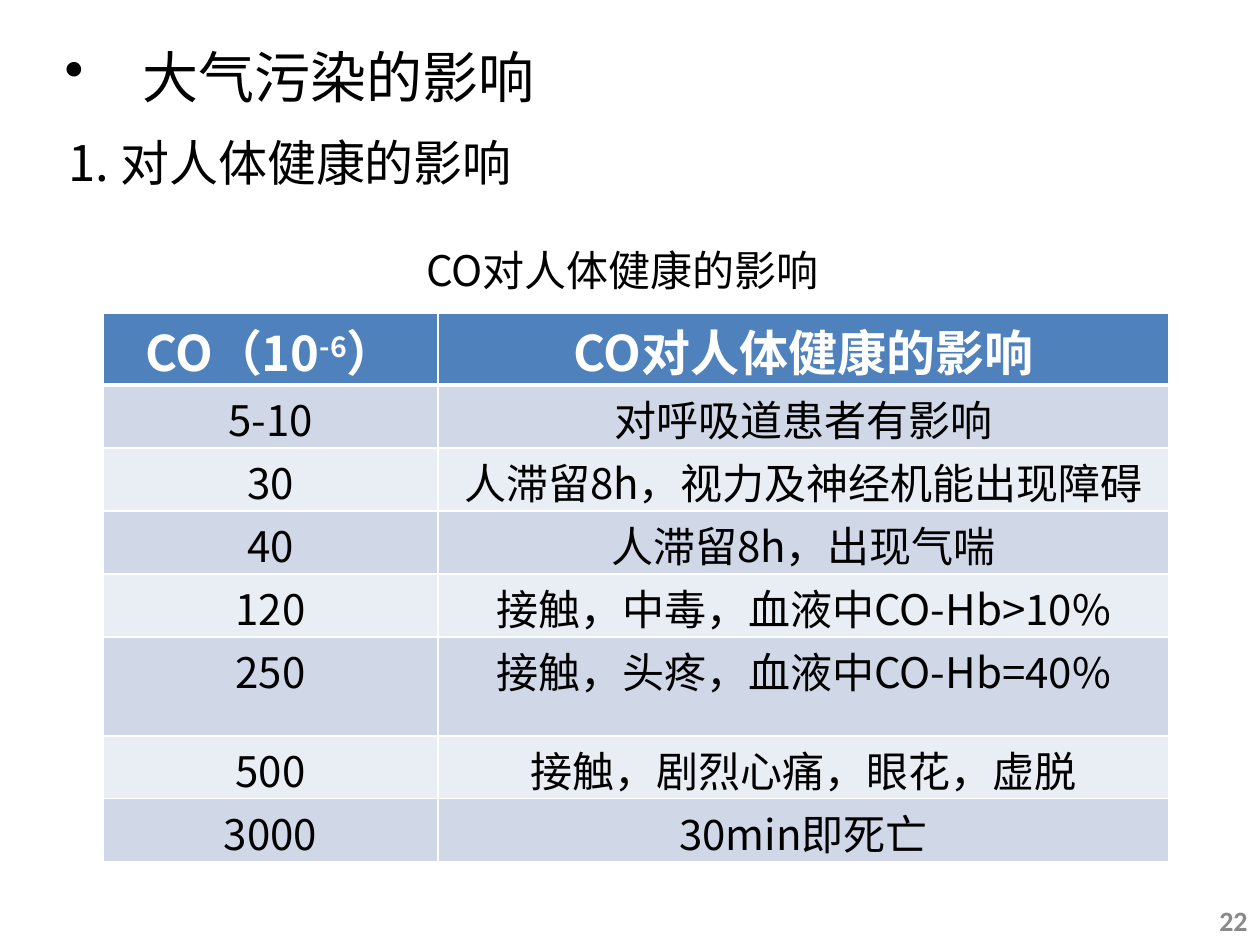
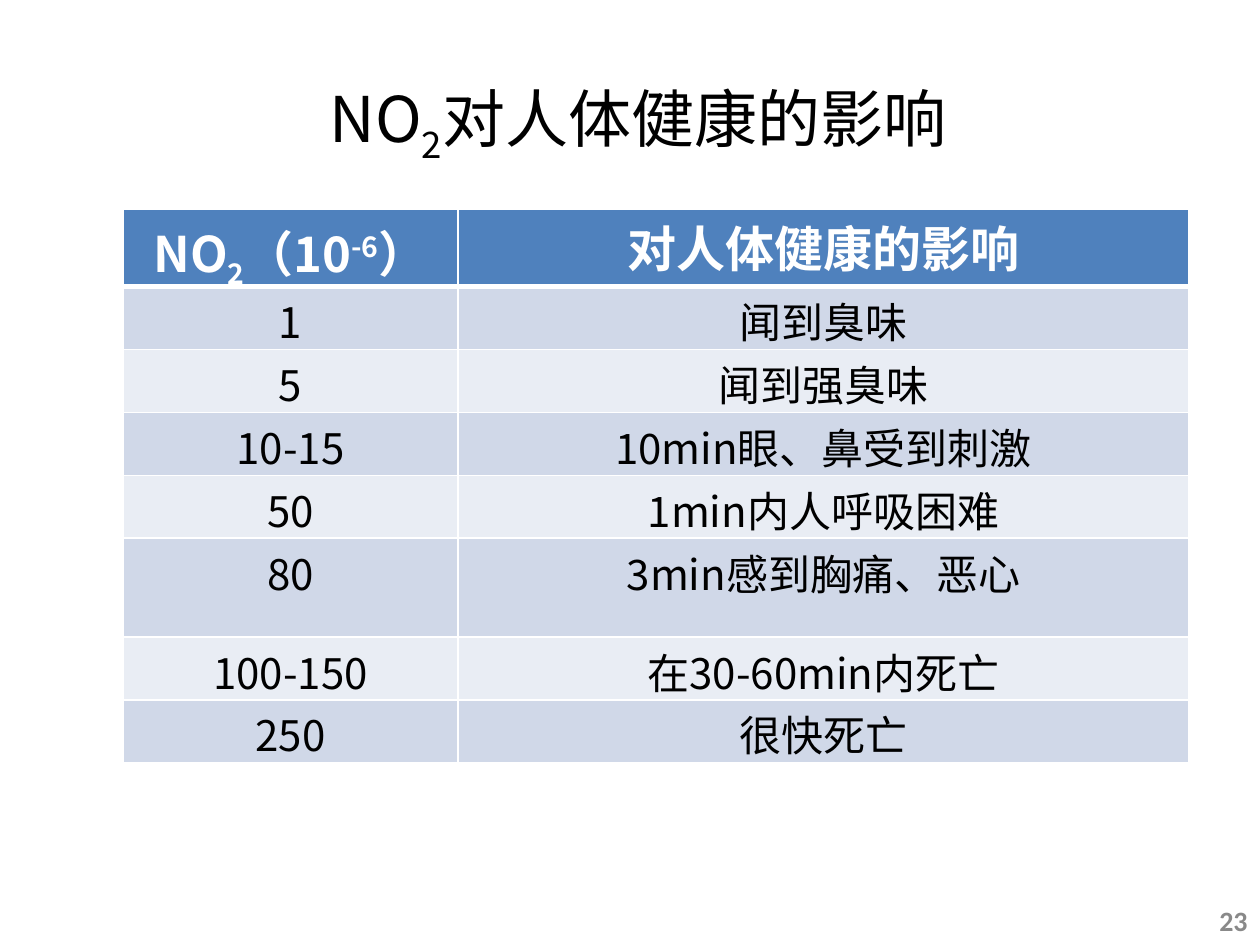
from lxml import etree
from pptx import Presentation
from pptx.dml.color import RGBColor
from pptx.enum.text import MSO_ANCHOR, MSO_AUTO_SIZE, PP_ALIGN
from pptx.oxml import parse_xml
from pptx.oxml.ns import nsdecls, qn
from pptx.util import Pt

PX = 914400 // 126
LEFT, CENTER, RIGHT = PP_ALIGN.LEFT, PP_ALIGN.CENTER, PP_ALIGN.RIGHT
TOP, MIDDLE = MSO_ANCHOR.TOP, MSO_ANCHOR.MIDDLE
NO_FIT = MSO_AUTO_SIZE.NONE

BLACK = RGBColor(0x00, 0x00, 0x00)
WHITE = RGBColor(0xFF, 0xFF, 0xFF)
GREY = RGBColor(0x89, 0x89, 0x89)
HEADER_BLUE = RGBColor(0x4F, 0x81, 0xBD)
BANDS = (RGBColor(0xD0, 0xD8, 0xE8), RGBColor(0xE9, 0xED, 0xF4))
HAN_FONT, NUMBER_FONT = "Noto Sans CJK SC", "Calibri"

FIRST_NUMBER = 22
NUMBER_BOX = (966, 895, 294, 50)
ROW_HEIGHTS = (72, 63, 63, 63, 63, 99, 63, 63)
COLUMN_WIDTHS = (335, 731)
CELL_MARGINS = {"margin_top": 8 * PX, "margin_bottom": 0}
CELL_LINE_SPACING = 0.9
SUB, SUPER = -25000, 30000

# A text is a list of (words, baseline shift) runs.
SLIDES = [
    {
        "layout": 1,
        "title": {"runs": [("大气污染的影响", 0)], "box": (52, 36, 1062, 81),
                  "size": 32, "bullet": "•", "indent": 78},
        "body": {"runs": [("1. 对人体健康的影响", 0)], "box": (56, 126, 1160, 72), "size": 28},
        "caption": {"runs": [("CO对人体健康的影响", 0)], "box": (414, 238, 490, 64), "size": 24},
        "table_at": (103, 313),
        "header": [[("CO（10", 0), ("-6", SUPER), ("）", 0)],
                   [("CO对人体健康的影响", 0)]],
        "effects": [
            ("5-10", "对呼吸道患者有影响"),
            ("30", "人滞留8h，视力及神经机能出现障碍"),
            ("40", "人滞留8h，出现气喘"),
            ("120", "接触，中毒，血液中CO-Hb>10%"),
            ("250", "接触，头疼，血液中CO-Hb=40%"),
            ("500", "接触，剧烈心痛，眼花，虚脱"),
            ("3000", "30min即死亡"),
        ],
    },
    {
        "layout": 5,
        "title": {"runs": [("NO", 0), ("2", SUB), ("对人体健康的影响", 0)],
                  "box": (317, 73, 675, 89), "size": 36},
        "table_at": (123, 209),
        "header": [[("NO", 0), ("2", SUB), ("（10", 0), ("-6", SUPER), ("）", 0)],
                   [("对人体健康的影响", 0)]],
        "effects": [
            ("1", "闻到臭味"),
            ("5", "闻到强臭味"),
            ("10-15", "10min眼、鼻受到刺激"),
            ("50", "1min内人呼吸困难"),
            ("80", "3min感到胸痛、恶心"),
            ("100-150", "在30-60min内死亡"),
            ("250", "很快死亡"),
        ],
    },
]


def set_all(target, values):
    for name, value in values.items():
        setattr(target, name, value)


def place(shape, box):
    set_all(shape, dict(zip(("left", "top", "width", "height"), (n * PX for n in box))))


def write_runs(paragraph, runs, size, color=BLACK, bold=False, align=LEFT):
    set_all(paragraph, {"alignment": align, "space_before": Pt(0)})
    for words, shift in runs:
        run = paragraph.add_run()
        run.text = words
        set_all(run.font, {"size": Pt(size), "bold": bold, "name": HAN_FONT})
        run.font.color.rgb = color
        properties = run.font._element
        etree.SubElement(properties, qn("a:ea")).set("typeface", HAN_FONT)
        if shift:
            properties.set("baseline", str(shift))


def write_heading(shape, runs, box, size, bullet=None, indent=0):
    place(shape, box)
    frame = shape.text_frame
    set_all(frame, {"word_wrap": True, "auto_size": NO_FIT, "vertical_anchor": TOP})
    paragraph = frame.paragraphs[0]
    properties = paragraph._p.get_or_add_pPr()
    properties.set("marL", str(indent * PX))
    properties.set("indent", str(-indent * PX))
    mark = etree.SubElement(properties, qn("a:buChar" if bullet else "a:buNone"))
    if bullet:
        mark.set("char", bullet)
    write_runs(paragraph, runs, size)


def border_cell(cell, top, bottom):
    properties = cell._tc.get_or_add_tcPr()
    for side, points in (("L", 1), ("R", 1), ("T", top), ("B", bottom)):
        properties.append(parse_xml(
            f'<a:ln{side} {nsdecls("a")} w="{Pt(points)}"><a:solidFill>'
            f'<a:srgbClr val="{WHITE}"/></a:solidFill></a:ln{side}>'))


def add_effects_table(slide, content):
    rows = content["header"], *[[[(words, 0)] for words in row] for row in content["effects"]]
    box = (*content["table_at"], sum(COLUMN_WIDTHS), sum(ROW_HEIGHTS))
    table = slide.shapes.add_table(len(rows), 2, *(n * PX for n in box)).table
    for column, width in zip(table.columns, COLUMN_WIDTHS):
        column.width = width * PX
    for r, (row, height) in enumerate(zip(rows, ROW_HEIGHTS)):
        table.rows[r].height = height * PX
        is_header = r == 0
        for c, runs in enumerate(row):
            cell = table.cell(r, c)
            set_all(cell, CELL_MARGINS)
            border_cell(cell, 3 if r == 1 else 1, 3 if is_header else 1)
            cell.fill.solid()
            cell.fill.fore_color.rgb = HEADER_BLUE if is_header else BANDS[(r - 1) % 2]
            paragraph = cell.text_frame.paragraphs[0]
            paragraph.line_spacing = CELL_LINE_SPACING
            write_runs(paragraph, runs, 28 if is_header else 24,
                       WHITE if is_header else BLACK, is_header, CENTER)


def add_slide_number(slide, number):
    box = slide.shapes.add_textbox(*(n * PX for n in NUMBER_BOX))
    set_all(box.text_frame, {"word_wrap": True, "vertical_anchor": MIDDLE})
    paragraph = box.text_frame.paragraphs[0]
    paragraph.alignment = RIGHT
    paragraph._p.append(parse_xml(
        f'<a:fld {nsdecls("a")} id="{{B6F15528-21DE-4FAA-801E-634DDDAF4B2B}}" type="slidenum">'
        f'<a:rPr lang="en-US" sz="1600" b="1"><a:solidFill><a:srgbClr val="{GREY}"/></a:solidFill>'
        f'<a:latin typeface="{NUMBER_FONT}"/></a:rPr><a:t>{number}</a:t></a:fld>'))


def main():
    deck = Presentation()
    set_all(deck, {"slide_width": 1260 * PX, "slide_height": 945 * PX})
    deck.element.set("firstSlideNum", str(FIRST_NUMBER))
    for number, content in enumerate(SLIDES, FIRST_NUMBER):
        slide = deck.slides.add_slide(deck.slide_layouts[content["layout"]])
        write_heading(slide.shapes.title, **content["title"])
        if "body" in content:
            write_heading(slide.placeholders[1], **content["body"])
        if "caption" in content:
            write_heading(slide.shapes.add_textbox(0, 0, 0, 0), **content["caption"])
        add_effects_table(slide, content)
        add_slide_number(slide, number)
    deck.save("out.pptx")


if __name__ == "__main__":
    main()
